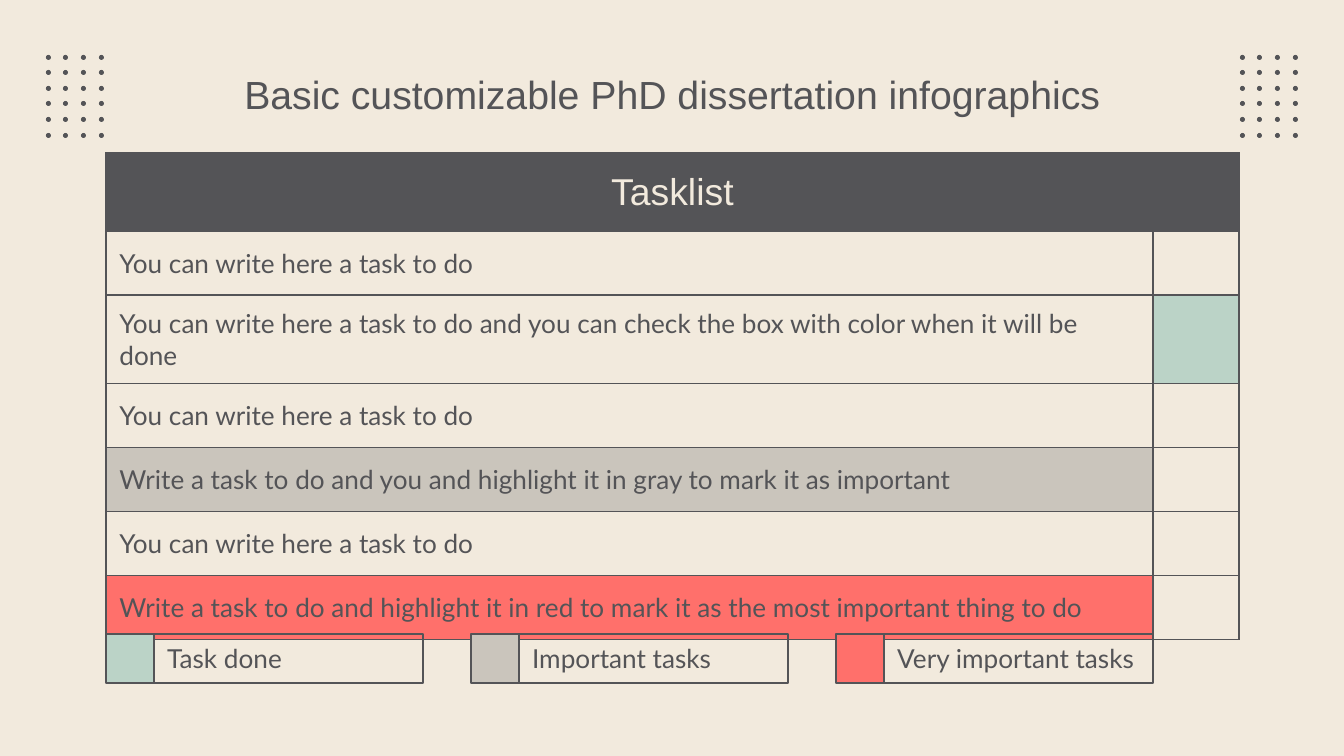
"""Build a one-slide PhD dissertation task list with a colour legend."""
from dataclasses import dataclass

from lxml.etree import SubElement
from pptx import Presentation
from pptx.dml.color import RGBColor
from pptx.enum.shapes import MSO_SHAPE
from pptx.enum.text import MSO_ANCHOR, MSO_AUTO_SIZE, PP_ALIGN
from pptx.oxml.ns import qn
from pptx.util import Pt


@dataclass(frozen=True)
class Theme:
    paper: str = "F2EADD"
    ink: str = "545457"
    done: str = "BBD3C7"
    important: str = "CAC5BC"
    urgent: str = "FF706B"
    head_font: str = "Arial"
    body_font: str = "Lato"
    title_size: int = 21
    head_size: int = 20
    body_size: int = 14
    line: float = 0.75


T = Theme()
PX = 914400 / 134.4


def px(*values):
    return [round(v * PX) for v in values]


def write(tf, text, size, font, color, align):
    p = tf.paragraphs[0]
    p.alignment = align
    r = p.add_run()
    r.text = text
    r.font.size = Pt(size)
    r.font.name = font
    r.font.bold = False
    r.font.color.rgb = RGBColor.from_string(color)


prs = Presentation()
prs.slide_width, prs.slide_height = px(1344, 756)
s = prs.slides.add_slide(prs.slide_layouts[5])
s.background.fill.solid()
s.background.fill.fore_color.rgb = RGBColor.from_string(T.paper)

for left in (46, 1240):
    dots = s.shapes.add_group_shape()
    for row in range(6):
        for col in range(4):
            dot = dots.shapes.add_shape(
                MSO_SHAPE.OVAL, *px(left + col * 53 // 3, 55 + row * 78 // 5, 5, 5))
            dot.shadow.inherit = False
            dot.fill.solid()
            dot.fill.fore_color.rgb = RGBColor.from_string(T.ink)
            dot.line.fill.background()

title = s.shapes.title
title.left, title.top, title.width, title.height = px(106, 54, 1133, 84)
tf = title.text_frame
tf.auto_size = MSO_AUTO_SIZE.NONE
tf.word_wrap = True
tf.vertical_anchor = MSO_ANCHOR.MIDDLE
tf.margin_top, tf.margin_bottom = px(9, 13)
write(tf, "Basic customizable PhD dissertation infographics",
      T.title_size, T.head_font, T.ink, PP_ALIGN.CENTER)

tasks = [
    ("Tasklist", T.ink, None),
    ("You can write here a task to do", None, None),
    ("You can write here a task to do and you can check the box with color when it will be done",
     None, T.done),
    ("You can write here a task to do", None, None),
    ("Write a task to do and you and highlight it in gray to mark it as important",
     T.important, None),
    ("You can write here a task to do", None, None),
    ("Write a task to do and highlight it in red to mark it as the most important thing to do",
     T.urgent, None),
]
table = s.shapes.add_table(len(tasks), 2, *px(106, 153, 1133, 462)).table
table.first_row = table.horz_banding = False
table.columns[0].width, table.columns[1].width = px(1047, 86)
table.cell(0, 0).merge(table.cell(0, 1))

for i, (text, task_fill, box_fill) in enumerate(tasks):
    table.rows[i].height = px(64 if i else 78)[0]
    for j, fill in enumerate((task_fill, box_fill)):
        cell = table.cell(i, j)
        cell.vertical_anchor = MSO_ANCHOR.MIDDLE
        cell.margin_top, cell.margin_bottom = px(13, 13)
        tcPr = cell._tc.get_or_add_tcPr()
        for side in ("a:lnL", "a:lnR", "a:lnT", "a:lnB"):
            ln = SubElement(tcPr, qn(side), w=str(Pt(T.line)))
            SubElement(SubElement(ln, qn("a:solidFill")), qn("a:srgbClr"), val=T.ink)
        if fill:
            cell.fill.solid()
            cell.fill.fore_color.rgb = RGBColor.from_string(fill)
        else:
            cell.fill.background()
        if j:
            end = cell.text_frame.paragraphs[0]._p.get_or_add_endParaRPr()
            end.set("sz", str(T.body_size * 100))
        elif i:
            write(cell.text_frame, text, T.body_size, T.body_font, T.ink, PP_ALIGN.LEFT)
        else:
            write(cell.text_frame, text, T.head_size, T.head_font, T.paper, PP_ALIGN.CENTER)

legend = [("Task done", T.done), ("Important tasks", T.important),
          ("Very important tasks", T.urgent)]
for i, (text, color) in enumerate(legend):
    left = 106 + i * 365
    entry = s.shapes.add_group_shape()
    label = entry.shapes.add_shape(MSO_SHAPE.RECTANGLE, *px(left + 48, 634, 269, 49))
    swatch = entry.shapes.add_shape(MSO_SHAPE.RECTANGLE, *px(left, 634, 48, 49))
    for sp in (label, swatch):
        sp.shadow.inherit = False
        sp.line.color.rgb = RGBColor.from_string(T.ink)
        sp.line.width = Pt(T.line)
    label.fill.background()
    swatch.fill.solid()
    swatch.fill.fore_color.rgb = RGBColor.from_string(color)
    tf = label.text_frame
    tf.word_wrap = True
    tf.vertical_anchor = MSO_ANCHOR.MIDDLE
    tf.margin_top, tf.margin_bottom = px(13, 13)
    write(tf, text, T.body_size, T.body_font, T.ink, PP_ALIGN.LEFT)

prs.save("out.pptx")
